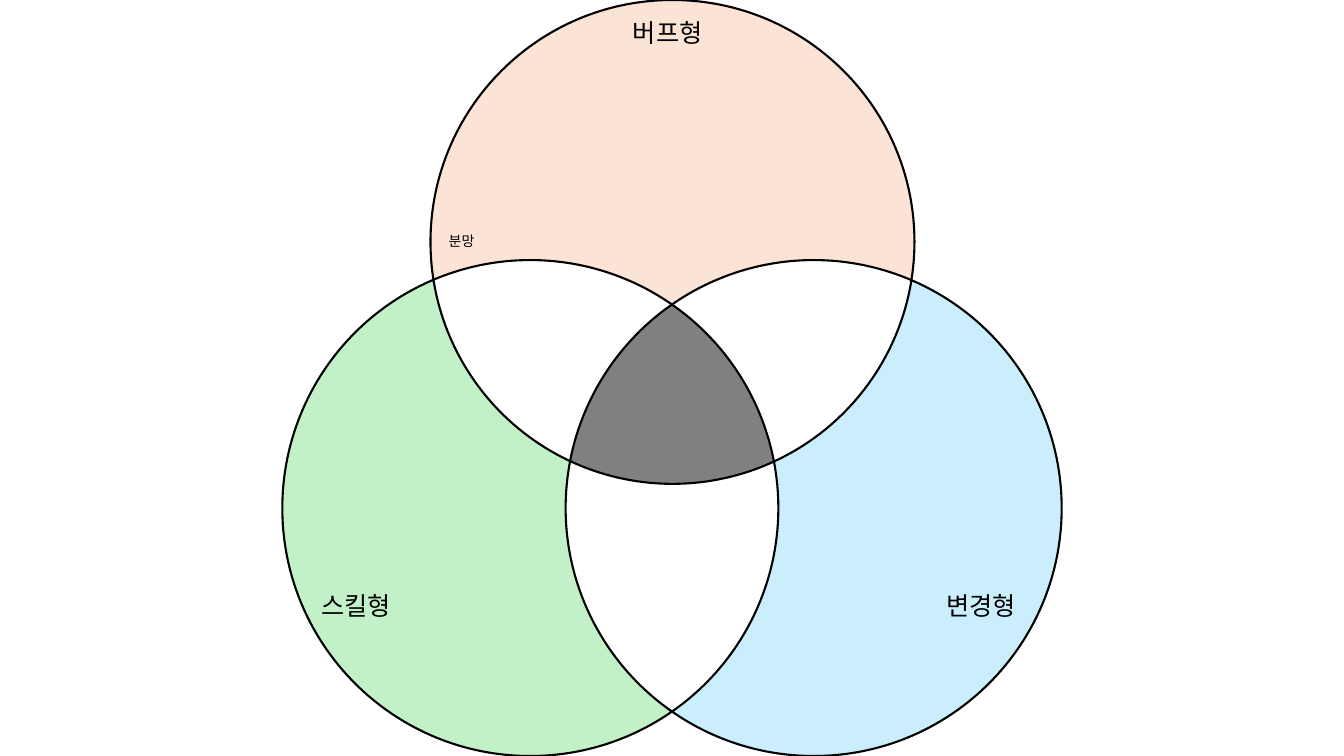
import math

from lxml import etree
from pptx import Presentation
from pptx.dml.color import RGBColor
from pptx.enum import text
from pptx.oxml import ns
from pptx.util import Inches, Pt

SLIDE_SIZE = (13.33, 7.5)
FONT = "Noto Sans CJK KR"
COLORS = {"buff": "FBE3D6", "skill": "C2F1C8", "change": "CAEEFB",
          "core": "808080", "ink": "000000"}

# Circles: centre x, centre y, radius
CIRCLES = {"buff": (6.67, 2.4, 2.4), "skill": (5.26, 5.04, 2.46), "change": (8.07, 5.04, 2.46)}

# Regions: arcs as (circle, from crossing, to crossing, direction); 1 is clockwise
REGIONS = {
    "buff": [("buff", "left out", "right out", 1), ("change", "right out", "top", -1),
             ("skill", "top", "left out", -1)],
    "skill": [("skill", "bottom", "left out", 1), ("buff", "left out", "left in", -1),
              ("change", "left in", "bottom", -1)],
    "change": [("change", "right out", "bottom", 1), ("skill", "bottom", "right in", -1),
               ("buff", "right in", "right out", -1)],
    "core": [("skill", "top", "right in", 1), ("buff", "right in", "left in", 1),
             ("change", "left in", "top", 1)],
}

# Labels: text, (left, top, width, height), point size
TYPE_LABELS = [("버프형", (6.18, 0.12, 0.96, 0.4), 18),
               ("스킬형", (3.09, 5.81, 0.96, 0.4), 18),
               ("변경형", (9.29, 5.81, 0.96, 0.4), 18)]
ITEM_LABELS = [("분망", (4.45, 2.31, 0.28, 0.17), 10)]
QUARTER = math.pi / 2


def color(name):
    return RGBColor.from_string(COLORS[name])


def crossings(first, second):
    """Return the two crossings of a pair of circles, the one away from the third first."""
    (x1, y1, r1), (x2, y2, r2) = CIRCLES[first], CIRCLES[second]
    distance = math.hypot(x2 - x1, y2 - y1)
    ux, uy = (x2 - x1) / distance, (y2 - y1) / distance
    along = (distance ** 2 + r1 ** 2 - r2 ** 2) / (2 * distance)
    half = math.sqrt(r1 ** 2 - along ** 2)
    return [(x1 + along * ux - side * uy, y1 + along * uy + side * ux)
            for side in (half, -half)]


def arc_curves(circle, start, end, direction):
    """Return an arc as Bézier curves of four points, split at the quarter turns."""
    x, y, radius = CIRCLES[circle]
    begin, finish = (math.atan2(py - y, px - x) for px, py in (start, end))
    finish = begin + direction * ((finish - begin) * direction % math.tau)
    low, high = sorted((begin, finish))
    quarters = [n * QUARTER for n in range(-8, 9) if low < n * QUARTER < high]
    angles = [begin, *quarters[::direction], finish]

    def point(angle, pull):
        cos, sin = math.cos(angle), math.sin(angle)
        return (Inches(x + radius * (cos - pull * sin)),
                Inches(y + radius * (sin + pull * cos)))

    curves = []
    for a, b in zip(angles, angles[1:]):
        pull = 4 / 3 * math.tan((b - a) / 4)
        curves.append((point(a, 0), point(a, pull), point(b, -pull), point(b, 0)))
    return curves


def add_region(slide, name, curves):
    builder = slide.shapes.build_freeform(*curves[0][0])
    builder.add_line_segments([curve[3] for curve in curves], close=True)
    shape = builder.convert_to_shape()
    for line, curve in zip(shape._element.xpath(".//a:path/a:lnTo"), curves):
        bezier = etree.Element(ns.qn("a:cubicBezTo"))
        for x, y in curve[1:]:
            node = etree.SubElement(bezier, ns.qn("a:pt"))
            node.set("x", str(x - shape.left))
            node.set("y", str(y - shape.top))
        line.getparent().replace(line, bezier)
    shape.shadow.inherit = False
    shape.fill.solid()
    shape.fill.fore_color.rgb = color(name)
    shape.line.color.rgb = color("ink")
    shape.line.width = Pt(1.5)


def add_label(slide, wording, box, size):
    frame = slide.shapes.add_textbox(*map(Inches, box)).text_frame
    frame.word_wrap = False
    frame.auto_size = text.MSO_AUTO_SIZE.SHAPE_TO_FIT_TEXT
    paragraph = frame.paragraphs[0]
    paragraph.text = wording
    font = paragraph.font
    font.size = Pt(size)
    font.color.rgb = color("ink")
    font.name = FONT
    properties = paragraph._p.pPr.find(ns.qn("a:defRPr"))
    etree.SubElement(properties, ns.qn("a:ea")).set("typeface", FONT)
    return frame


def main():
    presentation = Presentation()
    presentation.slide_width, presentation.slide_height = map(Inches, SLIDE_SIZE)
    slide = presentation.slides.add_slide(presentation.slide_layouts[6])

    corners = {}
    corners["left out"], corners["right in"] = crossings("buff", "skill")
    corners["bottom"], corners["top"] = crossings("skill", "change")
    corners["right out"], corners["left in"] = crossings("change", "buff")

    for name, arcs in REGIONS.items():
        curves = []
        for circle, start, end, direction in arcs:
            curves += arc_curves(circle, corners[start], corners[end], direction)
        add_region(slide, name, curves)

    for label in TYPE_LABELS:
        add_label(slide, *label)
    for label in ITEM_LABELS:
        frame = add_label(slide, *label)
        frame.vertical_anchor = text.MSO_ANCHOR.MIDDLE
        frame.margin_left = frame.margin_right = frame.margin_top = frame.margin_bottom = 0

    presentation.save("out.pptx")


if __name__ == "__main__":
    main()
